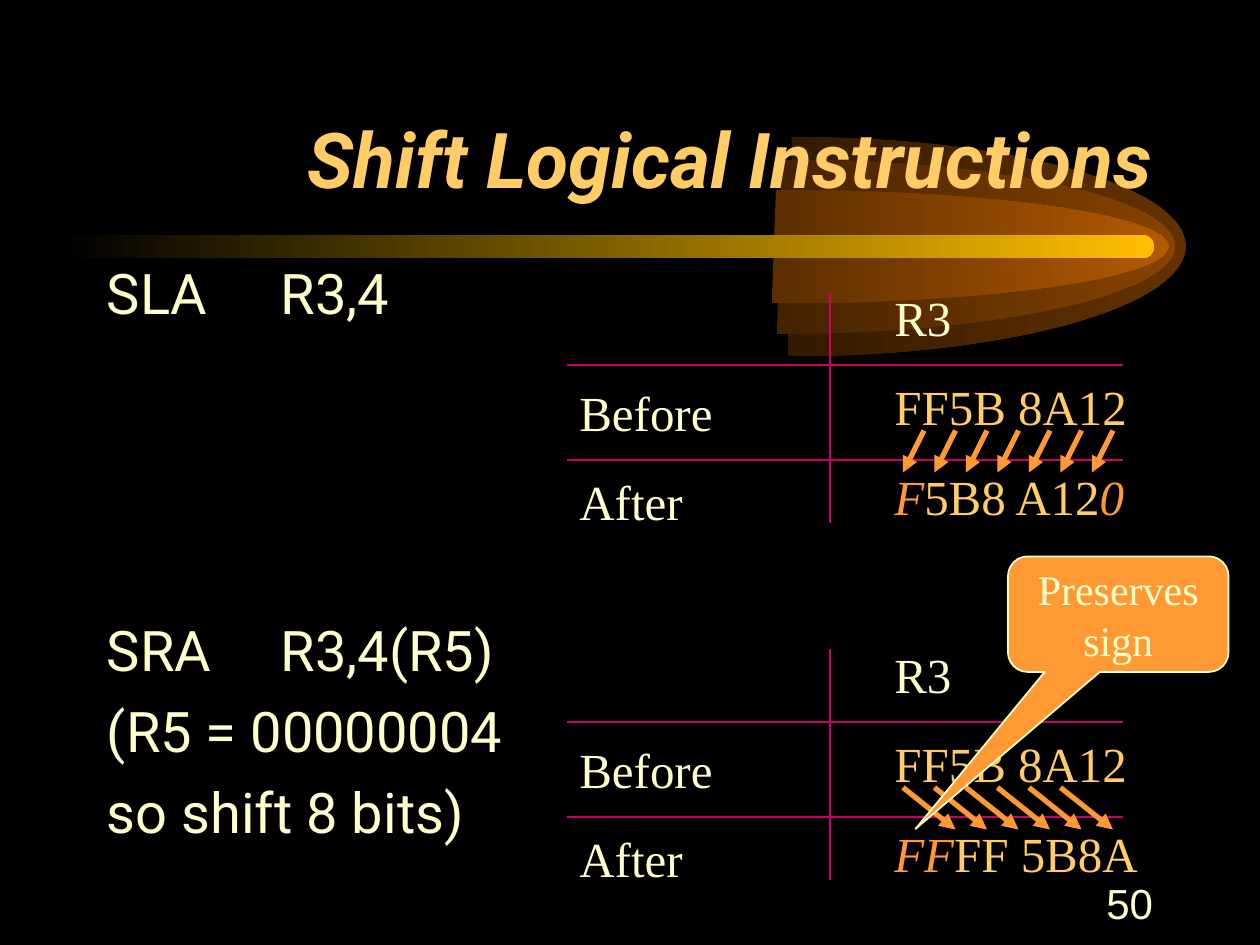
import math
from lxml import etree
from pptx import Presentation
from pptx import util as u
from pptx.dml import color
from pptx.enum import shapes, text
from pptx.oxml import ns

COLORS = {"night": "000000", "gold": "FFCC66", "cream": "FFFFCC",
          "orange": "FF9933", "rule": "CC0066", "comet": "FFBF00"}
SANS, SERIF, PLAIN = "Roboto", "Times New Roman", "Arial"

TITLE = "Shift Logical Instructions"
BEFORE = [("FF5B 8A12", "gold", False)]
EXAMPLES = [
    {"code": ["SLA\tR3,4"], "code_at": (9, 24, 102, 9), "top": 26.75,
     "after": [("F", "orange", True), ("5B8 A12", "gold", False), ("0", "orange", True)],
     "arrows": 7, "start": 88, "shift": -2},
    {"code": ["SRA\tR3,4(R5)", "(R5 = 00000004", "so shift 8 bits)"],
     "code_at": (9, 58, 104, 26), "top": 60.75,
     "after": [("FF", "orange", True), ("FF 5B8A", "gold", False)],
     "arrows": 6, "start": 86, "shift": 5},
]
CALLOUT = ["Preserves", "sign"]
PAGE = "50"
FLAMES = [(75.2, 37.7, 10.45, "331A00", "663300"),
          (74.2, 37.7, 8.3, "452200", "894400"),
          (73.7, 37.6, 5.4, "5C2E00", "B75B00")]
FLAME_MIDDLE, FLAME_LEAN = 23.5, 0.2
CODE_TAB = 1.38

COLUMNS, ROWS = 120, 90
deck = Presentation()
deck.slide_width, deck.slide_height = u.Inches(10), u.Inches(7.5)
slide = deck.slides.add_slide(deck.slide_layouts[6])


def rgb(name):
    return color.RGBColor.from_string(COLORS.get(name, name))


def across(column):
    return round(deck.slide_width * column / COLUMNS)


def down(row):
    return round(deck.slide_height * row / ROWS)


def place(left, top, width, height):
    return across(left), down(top), across(width), down(height)


def glow(shape, left, right):
    shape.shadow.inherit = False
    shape.line.fill.background()
    shape.fill.gradient()
    shape.fill.gradient_angle = 0
    for stop, name in zip(shape.fill.gradient_stops, (left, right)):
        stop.color.rgb = rgb(name)


def draw_flame(center, reach, rise, dim, bright):
    def spot(x, y):
        return across(center + reach * x - FLAME_LEAN * y), down(FLAME_MIDDLE + rise * y)

    handle = 4 / 3 * math.tan(math.radians(15))
    rim = [spot(0, -1)]
    for angle in (-90, -30, 30):
        a, b = math.radians(angle), math.radians(angle + 60)
        rim += [spot(math.cos(a) - handle * math.sin(a), math.sin(a) + handle * math.cos(a)),
                spot(math.cos(b) + handle * math.sin(b), math.sin(b) - handle * math.cos(b)),
                spot(math.cos(b), math.sin(b))]
    builder = slide.shapes.build_freeform(*rim[0])
    builder.add_line_segments(rim[1:] + [spot(0, 0)])
    flame = builder.convert_to_shape()
    segments = list(flame._element.iter(ns.qn("a:lnTo")))
    for first in (0, 3, 6):
        curve = etree.Element(ns.qn("a:cubicBezTo"))
        segments[first].addprevious(curve)
        for segment in segments[first:first + 3]:
            curve.append(segment[0])
            segment.getparent().remove(segment)
    glow(flame, dim, bright)


def write(shape, lines, size, font, align="LEFT", anchor="TOP", before=0, bold=False):
    frame = shape.text_frame
    frame.word_wrap = True
    frame.vertical_anchor = text.MSO_ANCHOR[anchor]
    for number, line in enumerate(lines):
        paragraph = frame.add_paragraph() if number else frame.paragraphs[0]
        paragraph.alignment = text.PP_ALIGN[align]
        paragraph.space_before = u.Pt(before)
        for words, name, italic in line:
            run = paragraph.add_run()
            run.text = words
            run.font.size, run.font.name = u.Pt(size), font
            run.font.color.rgb = rgb(name)
            run.font.italic, run.font.bold = italic, bold
    return frame


def write_box(at, lines, size, font, **style):
    return write(slide.shapes.add_textbox(*place(*at)), lines, size, font, **style)


def cream(lines):
    return [[(line, "cream", False)] for line in lines]


def draw_line(x1, y1, x2, y2, name, width, arrow=False):
    line = slide.shapes.add_connector(shapes.MSO_CONNECTOR.STRAIGHT,
                                      across(x1), down(y1), across(x2), down(y2))
    line.line.color.rgb = rgb(name)
    line.line.width = u.Pt(width)
    if arrow:
        etree.SubElement(line.line._get_or_add_ln(), ns.qn("a:tailEnd"), type="triangle")
    etree.SubElement(line._element.spPr, ns.qn("a:effectLst"))


def write_code(example):
    frame = write_box(example["code_at"], cream(example["code"]), 32, SANS, before=8)
    for paragraph in frame.paragraphs:
        stops = etree.SubElement(paragraph._p.get_or_add_pPr(), ns.qn("a:tabLst"))
        etree.SubElement(stops, ns.qn("a:tab"), pos=str(u.Inches(CODE_TAB)), algn="l")


def draw_registers(example):
    top = example["top"]
    write_box((54, top + 9.08, 21, 15.4), cream(["Before", "After"]), 28, SERIF, before=17.5)
    write_box((84, top + 0.03, 30, 23.9), cream(["R3"]) + [BEFORE, example["after"]],
              28, SERIF, before=17.5)
    for row in (top + 8.03, top + 17.05):
        draw_line(54, row, 107, row, "rule", 1)
    draw_line(79.03, top + 1.03, 79.03, top + 23.03, "rule", 1)


def draw_shifts(example):
    row = example["top"] + 14.25
    for digit in range(example["arrows"]):
        column = example["start"] + 3 * digit
        draw_line(column, row, column + example["shift"], row + 4, "orange", 3, True)


slide.background.fill.solid()
slide.background.fill.fore_color.rgb = rgb("night")

for flame in FLAMES:
    draw_flame(*flame)

comet = slide.shapes.add_shape(shapes.MSO_SHAPE.ROUNDED_RECTANGLE, *place(6, 22.4, 103.9, 2.2))
comet.adjustments[0] = 0.5
glow(comet, "night", "comet")

write_box((9, 5, 102, 15), [[(TITLE, "gold", True)]], 44, SANS,
          align="RIGHT", anchor="BOTTOM", bold=True)
for step in (write_code, draw_registers, draw_shifts):
    for example in EXAMPLES:
        step(example)

callout = slide.shapes.add_shape(shapes.MSO_SHAPE.ROUNDED_RECTANGULAR_CALLOUT,
                                 *place(96, 53, 21, 11))
for index, value in enumerate((-0.92, 1.86, 0.17)):
    callout.adjustments[index] = value
callout.shadow.inherit = False
callout.fill.solid()
callout.fill.fore_color.rgb = rgb("orange")
callout.line.color.rgb = rgb("cream")
callout.line.width = u.Pt(1)
write(callout, cream(CALLOUT), 24, SERIF, align="CENTER", anchor="MIDDLE")

write_box((86, 83, 25, 6), cream([PAGE]), 24, PLAIN, align="RIGHT", anchor="MIDDLE")

deck.save("out.pptx")
